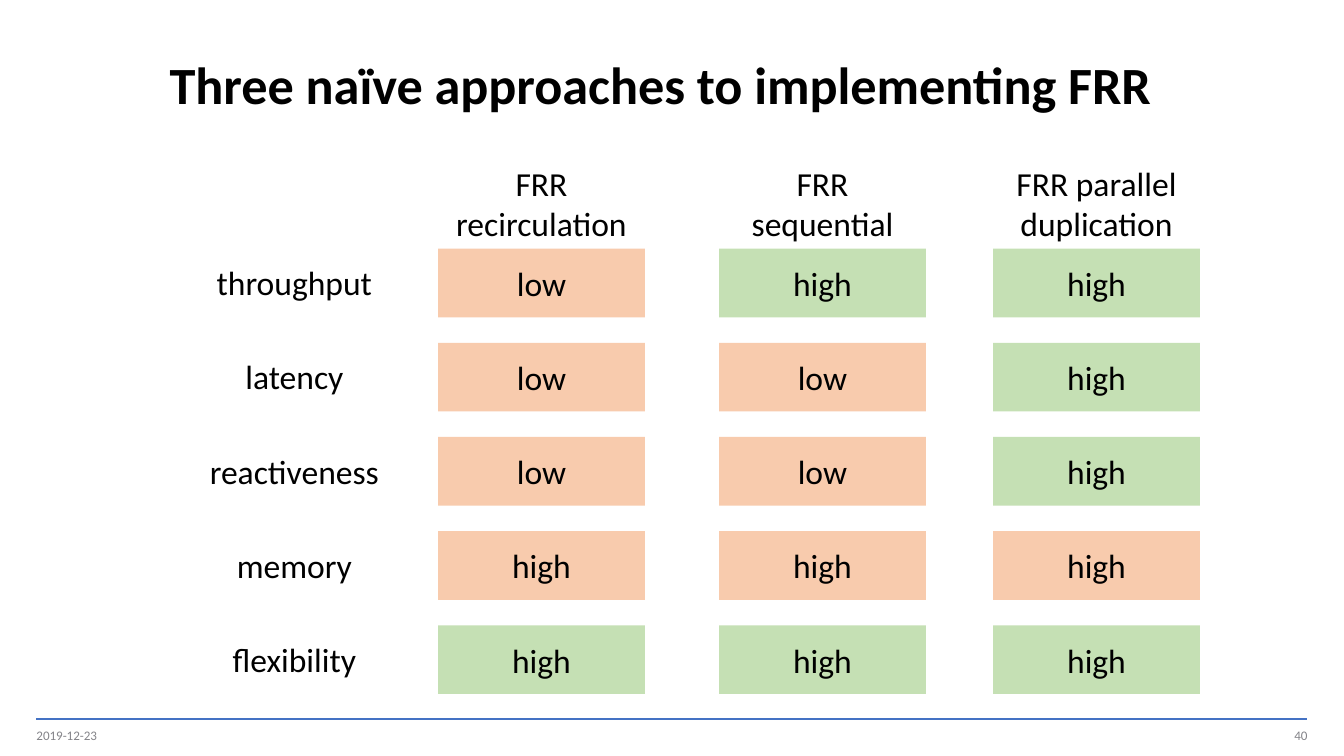
from pptx import Presentation
from pptx import util as u
from pptx.dml.color import RGBColor
from pptx.enum import shapes, text
from pptx.oxml import parse_xml
from pptx.oxml.ns import nsdecls

FONT = "Calibri"
TINTS = {"+": "C5E0B4", "-": "F8CBAD"}
COLS = (8.28, 13.59, 18.77)
HEADS = ("FRR recirculation", "FRR sequential", "FRR parallel duplication")
ROWS = (
    ("throughput", "low high high", "-++"),
    ("latency", "low low high", "--+"),
    ("reactiveness", "low low high", "--+"),
    ("memory", "high high high", "---"),
    ("flexibility", "high high high", "+++"),
)


def tint(code):
    """Turn a hex string into a colour."""
    return RGBColor.from_string(code)


def place(box):
    """Turn a box in centimetres into lengths."""
    return [u.Cm(size) for size in box]


def write(shape, words, size=18, code="000000", bold=False,
          align=text.PP_ALIGN.CENTER, anchor=text.MSO_ANCHOR.MIDDLE):
    """Set and format the one paragraph of a shape."""
    frame = shape.text_frame
    frame.text = words
    frame.word_wrap = True
    frame.vertical_anchor = anchor
    para = frame.paragraphs[0]
    para.alignment = align
    font = para.runs[0].font
    font.name, font.size, font.bold = FONT, u.Pt(size), bold
    font.color.rgb = tint(code)
    return frame


def add_title(slide, box):
    """Place the slide title in the box."""
    title = slide.shapes.title
    title.left, title.top, title.width, title.height = place(box)
    frame = write(title, "Three naïve approaches to implementing FRR", 28,
                  bold=True, align=text.PP_ALIGN.LEFT)
    frame.auto_size = text.MSO_AUTO_SIZE.NONE
    frame.paragraphs[0].line_spacing = u.Pt(30)


def add_label(slide, words, box):
    """Place a centred label in the box."""
    label = slide.shapes.add_textbox(*place(box))
    write(label, words, anchor=text.MSO_ANCHOR.TOP)


def add_cell(slide, words, code, box):
    """Place a filled rating cell in the box."""
    cell = slide.shapes.add_shape(shapes.MSO_SHAPE.RECTANGLE, *place(box))
    cell.shadow.inherit = False
    cell.fill.solid()
    cell.fill.fore_color.rgb = tint(code)
    cell.line.fill.background()
    write(cell, words)


def add_grid(slide, box):
    """Place column heads, row labels and ratings in the box."""
    left, top, width, height = box
    wide, high, head = 3.91, 1.3, 1.75
    step = (height - head - high) / (len(ROWS) - 1)
    for words, x in zip(HEADS, COLS):
        add_label(slide, words, (x, top, wide, 1.8))
    for row, (name, rates, marks) in enumerate(ROWS):
        y = top + head + row * step
        add_label(slide, name, (left, y + 0.13, wide, 1.02))
        for x, rate, mark in zip(COLS, rates.split(), marks):
            add_cell(slide, rate, TINTS[mark], (x, y, wide, high))


def add_foot(slide, box):
    """Place the rule, date and page number in the box."""
    left, top, width, height = box
    rule = slide.shapes.add_connector(
        shapes.MSO_CONNECTOR.STRAIGHT, *place((left, top, left + width, top)))
    rule.line.color.rgb = tint("4472C4")
    rule.line.width = u.Pt(1)
    rule._element.spPr.append(parse_xml(f"<a:effectLst {nsdecls('a')}/>"))
    wide, high = 5.72, 0.33
    y = top + height - high
    for words, x, align in (
            ("2019-12-23", left, text.PP_ALIGN.LEFT),
            ("40", left + width - wide, text.PP_ALIGN.RIGHT)):
        note = slide.shapes.add_textbox(*place((x, y, wide, high)))
        frame = write(note, words, 7, "848489", align=align)
        frame.margin_left = frame.margin_right = 0
        frame.margin_top = frame.margin_bottom = 0


def main():
    """Build and save the slide."""
    deck = Presentation()
    deck.slide_width, deck.slide_height = u.Cm(25.4), u.Cm(14.29)
    slide = deck.slides.add_slide(deck.slide_layouts[5])
    add_foot(slide, (0.69, 13.59, 24.02, 0.48))
    add_title(slide, (2.95, 0.71, 20.98, 1.88))
    add_grid(slide, (3.61, 2.95, 19.07, 10.17))
    deck.save("out.pptx")


if __name__ == "__main__":
    main()
